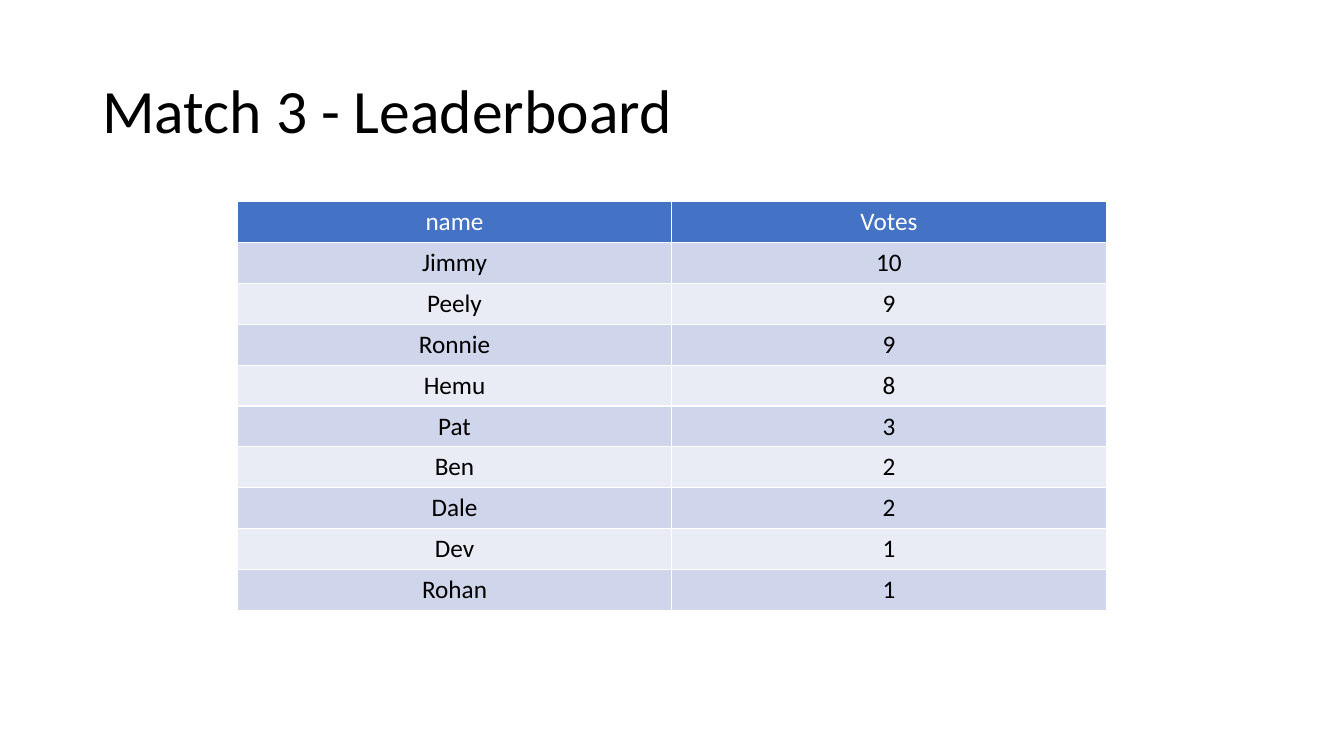
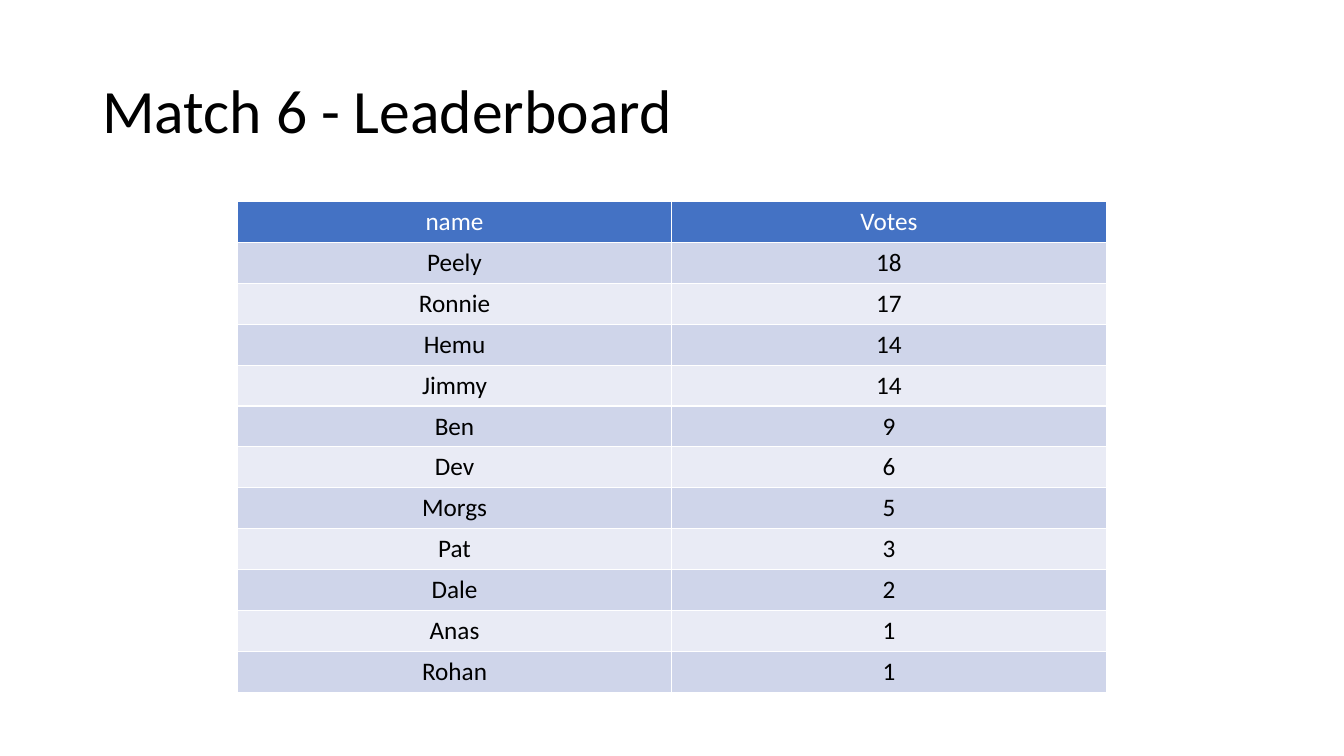
"""Build the match leaderboard slides."""
from dataclasses import dataclass

from lxml.etree import SubElement
from pptx import Presentation
from pptx.dml.color import RGBColor as RGB
from pptx.enum.text import MSO_ANCHOR as ANCHOR, PP_ALIGN as ALIGN
from pptx.oxml.ns import qn
from pptx.util import Cm, Pt


@dataclass(frozen=True)
class Theme:
    font: str = "Calibri"
    title_size: int = 44
    table_size: int = 18
    ink: str = "000000"
    white: str = "FFFFFF"
    header: str = "4472C4"
    bands: tuple = ("CFD5EA", "E9EBF5")
    border: int = 1


THEME = Theme()
HEADINGS = ("name", "Votes")
BOARDS = {
    "Match 3 - Leaderboard": [
        ("Jimmy", 10), ("Peely", 9), ("Ronnie", 9), ("Hemu", 8), ("Pat", 3),
        ("Ben", 2), ("Dale", 2), ("Dev", 1), ("Rohan", 1),
    ],
    "Match 6 - Leaderboard": [
        ("Peely", 18), ("Ronnie", 17), ("Hemu", 14), ("Jimmy", 14), ("Ben", 9),
        ("Dev", 6), ("Morgs", 5), ("Pat", 3), ("Dale", 2), ("Anas", 1), ("Rohan", 1),
    ],
}
COL_WIDTH, ROW_HEIGHT = Cm(10.95), Cm(1.03)


def write(tf, text, size, color=THEME.ink, align=ALIGN.LEFT, spacing=1.0):
    p = tf.paragraphs[0]
    p.alignment = align
    p.line_spacing = spacing
    r = p.add_run()
    r.text = text
    r.font.name = THEME.font
    r.font.size = Pt(size)
    r.font.bold = False
    r.font.color.rgb = RGB.from_string(color)


def style_cell(cell, fill):
    tc_pr = cell._tc.get_or_add_tcPr()
    for side in ("lnL", "lnR", "lnT", "lnB"):
        ln = SubElement(tc_pr, qn(f"a:{side}"), w=str(Pt(THEME.border)))
        SubElement(SubElement(ln, qn("a:solidFill")), qn("a:srgbClr"), val=THEME.white)
    cell.fill.solid()
    cell.fill.fore_color.rgb = RGB.from_string(fill)


prs = Presentation()
prs.slide_width, prs.slide_height = Cm(33.87), Cm(19.05)

for title, scores in BOARDS.items():
    s = prs.slides.add_slide(prs.slide_layouts[6])
    tf = s.shapes.add_textbox(Cm(2.33), Cm(1.01), Cm(29.21), Cm(3.68)).text_frame
    tf.word_wrap = True
    tf.vertical_anchor = ANCHOR.MIDDLE
    write(tf, title, THEME.title_size, spacing=0.9)

    rows = [HEADINGS, *scores]
    table = s.shapes.add_table(
        len(rows), len(HEADINGS), Cm(5.98), Cm(5.08),
        COL_WIDTH * len(HEADINGS), ROW_HEIGHT * len(rows),
    ).table
    for col in table.columns:
        col.width = COL_WIDTH
    for i, values in enumerate(rows):
        table.rows[i].height = ROW_HEIGHT
        fill = THEME.bands[(i - 1) % 2] if i else THEME.header
        color = THEME.ink if i else THEME.white
        for j, value in enumerate(values):
            cell = table.cell(i, j)
            style_cell(cell, fill)
            write(cell.text_frame, str(value), THEME.table_size, color=color, align=ALIGN.CENTER)

prs.save("out.pptx")
